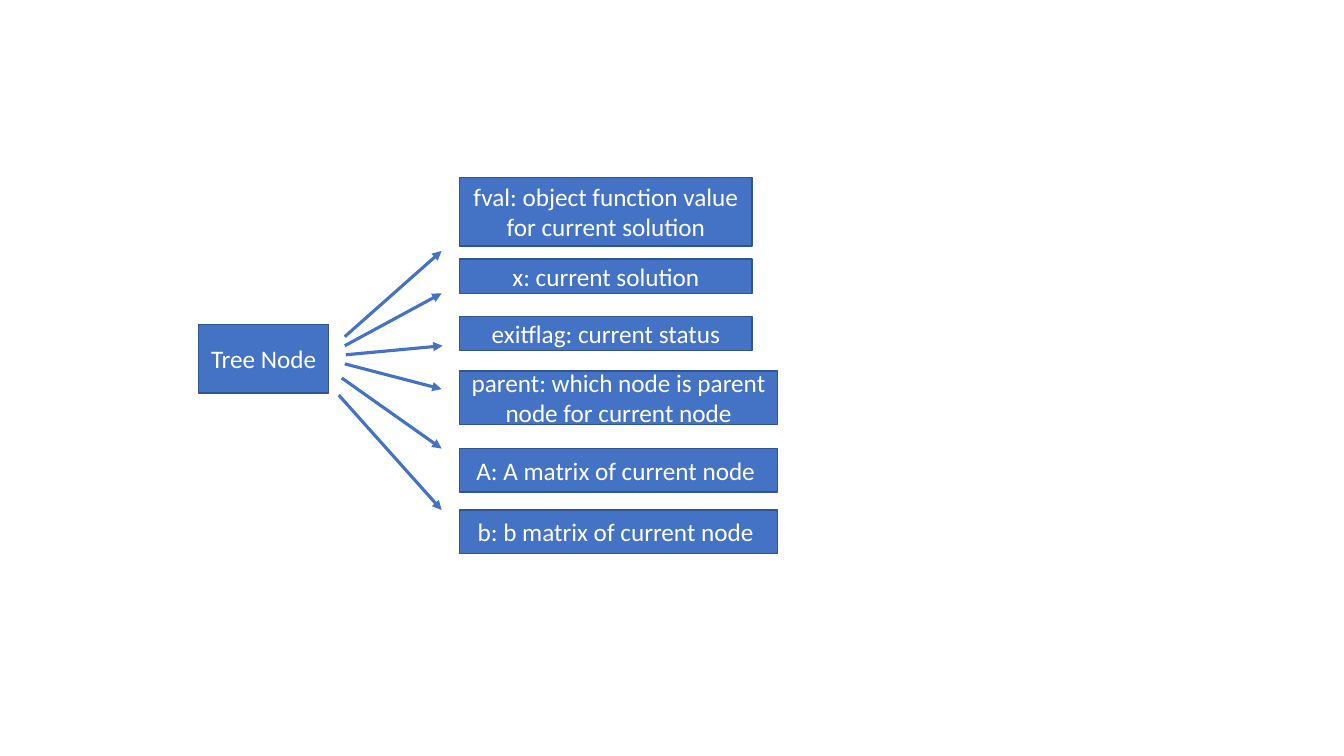
from dataclasses import dataclass

import pptx
import pptx.dml.color
import pptx.enum.shapes
import pptx.enum.text
import pptx.oxml.ns
import pptx.slide
import pptx.util
from lxml import etree

Inches = pptx.util.Inches
Pt = pptx.util.Pt

COLORS = {"fill": "4472C4", "border": "325491", "text": "FFFFFF"}
FONT = "Calibri"
FIELD_LEFT = 4.56
NARROW, WIDE = 2.9, 3.15


@dataclass
class Box:
    text: str
    left: float
    top: float
    width: float
    height: float


@dataclass
class Arrow:
    x1: float
    y1: float
    x2: float
    y2: float


@dataclass
class Field:
    box: Box
    arrow: Arrow


def field(text: str, top: float, width: float, height: float, arrow: Arrow) -> Field:
    return Field(Box(text, FIELD_LEFT, top, width, height), arrow)


TREE_NODE = Box("Tree Node", 1.97, 3.22, 1.29, 0.68)
FIELDS = [
    field("fval: object function value for current solution", 1.76, NARROW, 0.68,
          Arrow(3.42, 3.34, 4.38, 2.49)),
    field("x: current solution", 2.57, NARROW, 0.34, Arrow(3.42, 3.43, 4.38, 2.91)),
    field("exitflag: current status", 3.14, NARROW, 0.34, Arrow(3.43, 3.52, 4.39, 3.43)),
    field("parent: which node is parent node for current node", 3.68, WIDE, 0.53,
          Arrow(3.42, 3.61, 4.38, 3.86)),
    field("A: A matrix of current node ", 4.45, WIDE, 0.43, Arrow(3.39, 3.75, 4.38, 4.45)),
    field("b: b matrix of current node ", 5.06, WIDE, 0.43, Arrow(3.36, 3.92, 4.38, 5.06)),
]


def rgb(name: str) -> pptx.dml.color.RGBColor:
    return pptx.dml.color.RGBColor.from_string(COLORS[name])


def draw_box(s: pptx.slide.Slide, box: Box) -> None:
    sp = s.shapes.add_shape(
        pptx.enum.shapes.MSO_SHAPE.RECTANGLE,
        Inches(box.left), Inches(box.top), Inches(box.width), Inches(box.height))
    sp.shadow.inherit = False
    sp.fill.solid()
    sp.fill.fore_color.rgb = rgb("fill")
    sp.line.color.rgb = rgb("border")
    sp.line.width = Pt(1)
    tf = sp.text_frame
    tf.word_wrap = True
    tf.vertical_anchor = pptx.enum.text.MSO_ANCHOR.MIDDLE
    p = tf.paragraphs[0]
    p.alignment = pptx.enum.text.PP_ALIGN.CENTER
    r = p.add_run()
    r.text = box.text
    r.font.name = FONT
    r.font.size = Pt(18)
    r.font.color.rgb = rgb("text")


def draw_arrow(s: pptx.slide.Slide, arrow: Arrow) -> None:
    cxn = s.shapes.add_connector(
        pptx.enum.shapes.MSO_CONNECTOR.STRAIGHT,
        Inches(arrow.x1), Inches(arrow.y1), Inches(arrow.x2), Inches(arrow.y2))
    cxn.line.color.rgb = rgb("fill")
    cxn.line.width = Pt(2.25)
    qn = pptx.oxml.ns.qn
    etree.SubElement(cxn.line._get_or_add_ln(), qn("a:tailEnd"), type="triangle")
    etree.SubElement(cxn._element.spPr, qn("a:effectLst"))


# Blank widescreen slide
prs = pptx.Presentation()
prs.slide_width, prs.slide_height = Inches(13.33), Inches(7.5)
s = prs.slides.add_slide(prs.slide_layouts[6])

# Tree node and the fields it points to
draw_box(s, TREE_NODE)
for item in FIELDS:
    draw_arrow(s, item.arrow)
    draw_box(s, item.box)

prs.save("out.pptx")
